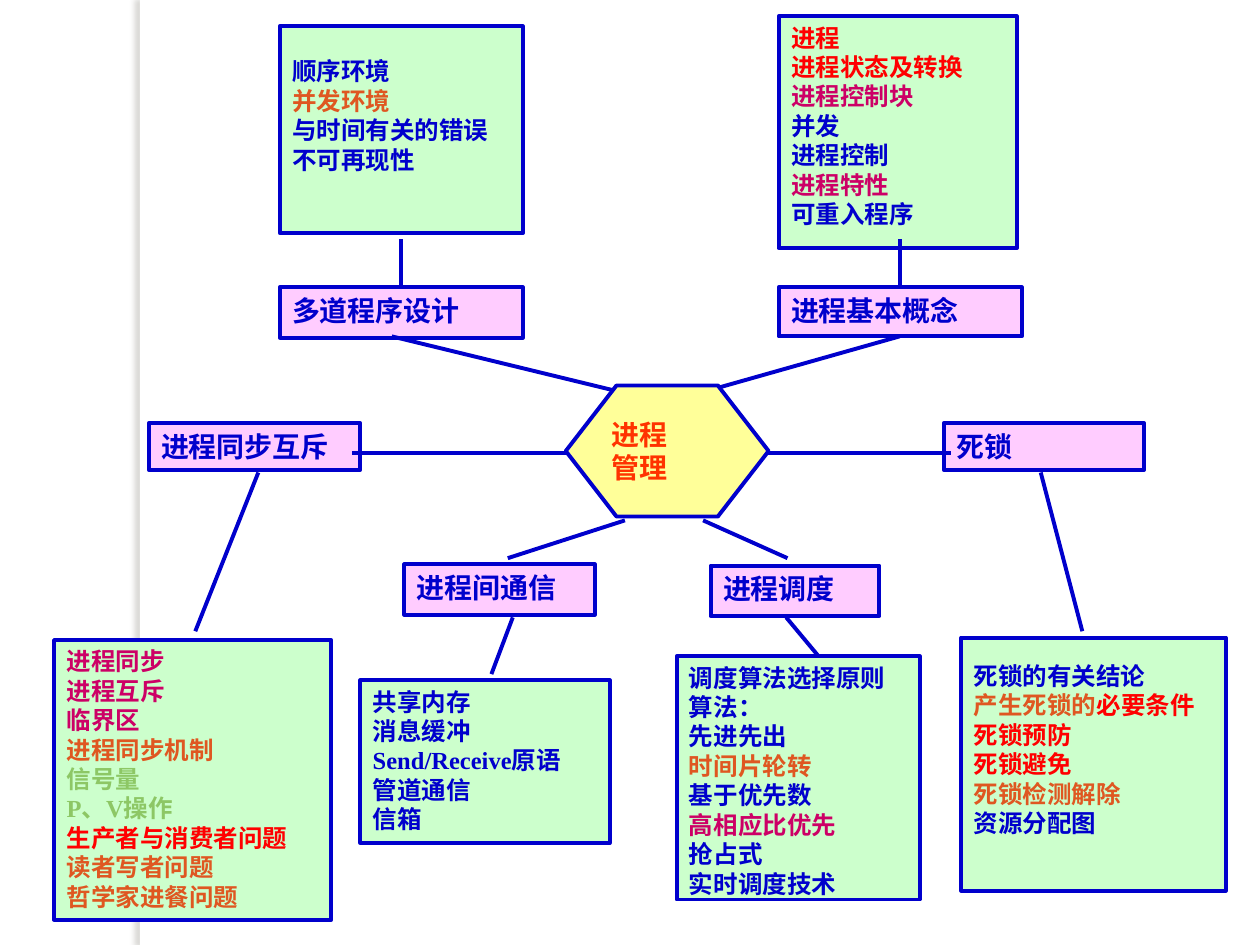
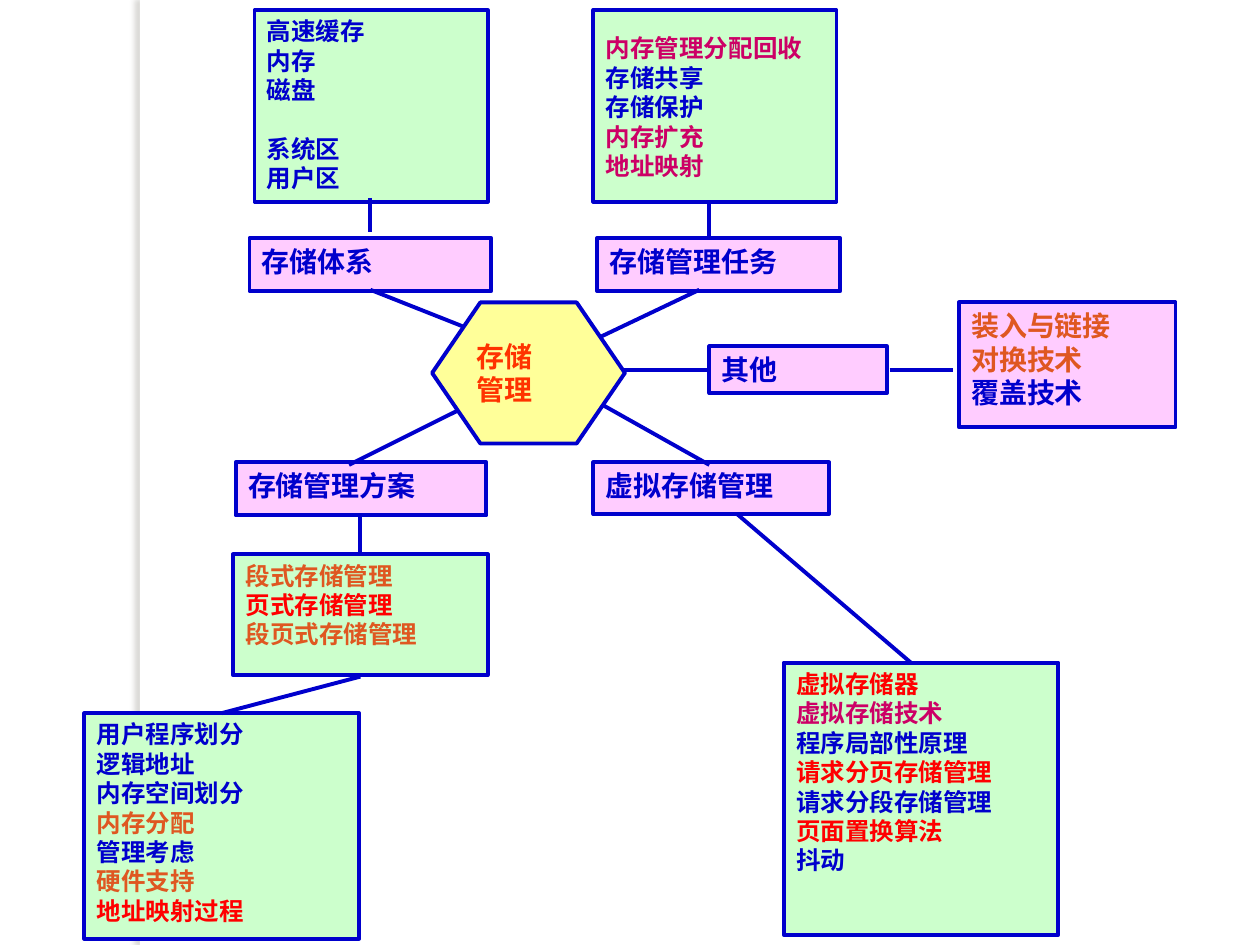
"""Build two mind maps: process management and storage management."""
import dataclasses
import enum
import typing

import pptx
import pptx.dml.color
import pptx.enum.shapes
import pptx.enum.text
import pptx.oxml
import pptx.oxml.ns
import pptx.util

COLUMNS, ROWS = 100, 75
Shape = pptx.enum.shapes.MSO_SHAPE
Anchor = pptx.enum.text.MSO_ANCHOR


class Ink(enum.Enum):
    """Text colours by emphasis."""

    BLUE = "0000CC"
    RED = "FF0000"
    ROSE = "CC0066"
    ORANGE = "DF5721"
    GREEN = "8DC765"
    HUB = "FF3300"


@dataclasses.dataclass(frozen=True)
class Theme:
    """Colours, fonts and sizes of the deck."""

    width: int = pptx.util.Inches(10)
    height: int = pptx.util.Inches(7.5)
    outline: str = "0000CC"
    stroke: float = 2.25
    note_fill: str = "CCFFCC"
    topic_fill: str = "FFCCFF"
    hub_fill: str = "FFFF99"
    band_fill: str = "FFFFFF"
    band_shadow: str = "736F63"
    serif: str = "Times New Roman"
    sans: str = "Arial"
    note_size: int = 14
    topic_size: int = 16


THEME = Theme()


class Span(typing.NamedTuple):
    """A piece of text in one colour."""

    ink: Ink
    text: str


class Line(typing.NamedTuple):
    """One paragraph and the space above it in points."""

    spans: tuple[Span, ...]
    before: float = 0


class Area(typing.NamedTuple):
    """A rectangle in grid columns and rows."""

    column: float
    row: float
    columns: float
    rows: float


class Link(typing.NamedTuple):
    """A straight line between two grid points."""

    start: tuple[float, float]
    end: tuple[float, float]


@dataclasses.dataclass(frozen=True)
class Box:
    """A filled, outlined shape with left-aligned text."""

    area: Area
    lines: list[Line]
    fill: str = THEME.note_fill
    size: int = THEME.note_size
    font: str = THEME.serif
    kind: Shape = Shape.RECTANGLE
    bend: float = 0
    anchor: Anchor = Anchor.TOP
    wrap: bool = True
    pad_top: float = 0.5
    pad_bottom: float = 0.5


@dataclasses.dataclass(frozen=True)
class MindMap:
    """A hub, its boxes and the links between them."""

    hub: Box
    boxes: list[Box]
    links: list[Link]


def lines(ink: Ink, *texts: str, before: float = 0) -> list[Line]:
    """Make one line per text, all in one colour."""
    return [Line((Span(ink, text),), before) for text in texts]


def topic(area: Area, text: str) -> Box:
    """Make a branch heading."""
    return Box(area, lines(Ink.BLUE, text), THEME.topic_fill, THEME.topic_size)


def hub(area: Area, bend: float, *texts: str) -> Box:
    """Make the central hexagon."""
    return Box(area, lines(Ink.HUB, *texts), THEME.hub_fill, THEME.topic_size,
               THEME.sans, Shape.HEXAGON, bend, Anchor.MIDDLE, False)


def across(columns: float) -> int:
    """Convert grid columns to a length."""
    return round(THEME.width * columns / COLUMNS)


def down(rows: float) -> int:
    """Convert grid rows to a length."""
    return round(THEME.height * rows / ROWS)


def colour(code: str) -> pptx.dml.color.RGBColor:
    """Convert a hexadecimal code to a colour."""
    return pptx.dml.color.RGBColor.from_string(code)


def add_panel(page, kind: Shape, area: Area, fill: str):
    """Add a filled shape without a shadow."""
    panel = page.shapes.add_shape(kind, across(area.column), down(area.row),
                                  across(area.columns), down(area.rows))
    panel.shadow.inherit = False
    panel.fill.solid()
    panel.fill.fore_color.rgb = colour(fill)
    return panel


def draw_band(page) -> None:
    """Draw the white band with a soft shadow on its left."""
    band = add_panel(page, Shape.RECTANGLE, Area(11.1, 0, 0.8, ROWS), THEME.band_fill)
    band.line.fill.background()
    effects = band._element.spPr.find(pptx.oxml.ns.qn("a:effectLst"))
    effects.append(pptx.oxml.parse_xml(
        f'<a:outerShdw {pptx.oxml.ns.nsdecls("a")} blurRad="38100" dist="38100" '
        f'dir="10800000" algn="r" rotWithShape="0"><a:srgbClr val="{THEME.band_shadow}">'
        '<a:alpha val="25000"/></a:srgbClr></a:outerShdw>'))


def draw_box(page, box: Box) -> None:
    """Draw a box and its text."""
    shape = add_panel(page, box.kind, box.area, box.fill)
    shape.line.color.rgb = colour(THEME.outline)
    shape.line.width = pptx.util.Pt(THEME.stroke)
    if box.bend:
        shape.adjustments[0] = box.bend
    frame = shape.text_frame
    frame.word_wrap = box.wrap
    frame.vertical_anchor = box.anchor
    frame.margin_top, frame.margin_bottom = down(box.pad_top), down(box.pad_bottom)
    for index, line in enumerate(box.lines):
        para = frame.add_paragraph() if index else frame.paragraphs[0]
        para.alignment = pptx.enum.text.PP_ALIGN.LEFT
        para.space_before = pptx.util.Pt(line.before)
        para.font.name, para.font.bold = box.font, True
        para.font.size = pptx.util.Pt(box.size)
        for span in line.spans:
            run = para.add_run()
            run.text = span.text
            run.font.color.rgb = colour(span.ink.value)


def draw_link(page, link: Link) -> None:
    """Draw a straight connector."""
    (left, top), (right, bottom) = link
    connector = page.shapes.add_connector(
        pptx.enum.shapes.MSO_CONNECTOR.STRAIGHT,
        across(left), down(top), across(right), down(bottom))
    connector.line.color.rgb = colour(THEME.outline)
    connector.line.width = pptx.util.Pt(THEME.stroke)
    connector._element.spPr.append(
        pptx.oxml.parse_xml(f'<a:effectLst {pptx.oxml.ns.nsdecls("a")}/>'))


def draw_map(deck, mind_map: MindMap) -> None:
    """Add a page with one mind map."""
    page = deck.slides.add_slide(deck.slide_layouts[6])
    draw_band(page)
    for box in mind_map.boxes:
        draw_box(page, box)
    for link in mind_map.links:
        draw_link(page, link)
    draw_box(page, mind_map.hub)


PROCESSES = MindMap(
    hub(Area(44.9, 30.6, 16.1, 10.4), 0.387, "进程", "管理"),
    [
        Box(Area(61.8, 1.3, 18.9, 18.4),
            lines(Ink.RED, "进程", "进程状态及转换") + lines(Ink.ROSE, "进程控制块")
            + lines(Ink.BLUE, "并发", "进程控制") + lines(Ink.ROSE, "进程特性")
            + lines(Ink.BLUE, "可重入程序")),
        Box(Area(28.6, 54, 19.8, 12.9),
            lines(Ink.BLUE, "共享内存", "消息缓冲", "Send/Receive原语", "管道通信", "信箱")),
        Box(Area(53.7, 52.1, 19.3, 19.3),
            lines(Ink.BLUE, "调度算法选择原则", "算法：", "先进先出")
            + lines(Ink.ORANGE, "时间片轮转") + lines(Ink.BLUE, "基于优先数")
            + lines(Ink.ROSE, "高相应比优先") + lines(Ink.BLUE, "抢占式", "实时调度技术")),
        Box(Area(4.3, 50.8, 22, 22.2),
            lines(Ink.ROSE, "进程同步", "进程互斥", "临界区")
            + lines(Ink.ORANGE, "进程同步机制") + lines(Ink.GREEN, "信号量", "P、V操作")
            + lines(Ink.RED, "生产者与消费者问题")
            + lines(Ink.ORANGE, "读者写者问题", "哲学家进餐问题")),
        Box(Area(76.3, 50.6, 21, 20.1),
            lines(Ink.BLUE, "死锁的有关结论")
            + [Line((Span(Ink.ORANGE, "产生死锁的"), Span(Ink.RED, "必要条件")))]
            + lines(Ink.RED, "死锁预防", "死锁避免")
            + lines(Ink.ORANGE, "死锁检测解除") + lines(Ink.BLUE, "资源分配图"),
            pad_top=1.85),
        Box(Area(22.2, 2.1, 19.3, 16.4),
            lines(Ink.BLUE, "顺序环境") + lines(Ink.ORANGE, "并发环境")
            + lines(Ink.BLUE, "与时间有关的错误", "不可再现性"),
            font=THEME.sans, anchor=Anchor.MIDDLE, wrap=False, pad_bottom=2.8),
        topic(Area(22.2, 22.8, 19.3, 4), "多道程序设计"),
        topic(Area(61.8, 22.8, 19.3, 3.9), "进程基本概念"),
        topic(Area(11.8, 33.6, 16.8, 3.7), "进程同步互斥"),
        topic(Area(32.1, 44.8, 15.1, 4), "进程间通信"),
        topic(Area(56.4, 44.9, 13.4, 4), "进程调度"),
        topic(Area(74.9, 33.6, 15.9, 3.7), "死锁"),
    ],
    [
        Link((31.1, 26.7), (49.6, 31.2)), Link((71.4, 26.7), (55.5, 31.2)),
        Link((40.3, 44.3), (49.6, 41.3)), Link((62.5, 44.3), (55.8, 41.3)),
        Link((46.2, 35.95), (27.9, 35.95)), Link((58.7, 35.95), (75.5, 35.95)),
        Link((31.8, 19), (31.8, 22.7)), Link((71.4, 19), (71.4, 22.7)),
        Link((62.4, 49), (64.9, 52)), Link((20.5, 37.5), (15.5, 50.1)),
        Link((40.7, 49), (39, 53.5)), Link((82.6, 37.5), (85.9, 50.1)),
    ],
)

STORAGE = MindMap(
    hub(Area(34.3, 24, 15.3, 11.2), 0.342, "存储", "管理"),
    [
        Box(Area(18.5, 44, 20.2, 9.6),
            lines(Ink.ORANGE, "段式存储管理") + lines(Ink.RED, "页式存储管理")
            + lines(Ink.ORANGE, "段页式存储管理")),
        Box(Area(62.2, 52.6, 21.8, 21.6),
            lines(Ink.RED, "虚拟存储器") + lines(Ink.ROSE, "虚拟存储技术")
            + lines(Ink.BLUE, "程序局部性原理") + lines(Ink.RED, "请求分页存储管理")
            + lines(Ink.BLUE, "请求分段存储管理") + lines(Ink.RED, "页面置换算法")
            + lines(Ink.BLUE, "抖动")),
        Box(Area(6.7, 56.6, 21.8, 17.9),
            lines(Ink.BLUE, "用户程序划分", "逻辑地址", "内存空间划分")
            + lines(Ink.ORANGE, "内存分配") + lines(Ink.BLUE, "管理考虑")
            + lines(Ink.ORANGE, "硬件支持") + lines(Ink.RED, "地址映射过程")),
        Box(Area(76.1, 24, 17.2, 9.9),
            lines(Ink.ORANGE, "装入与链接", "对换技术") + lines(Ink.BLUE, "覆盖技术"),
            THEME.topic_fill, THEME.topic_size),
        Box(Area(20.2, 0.8, 18.5, 15.2),
            lines(Ink.BLUE, "高速缓存", "内存", "磁盘")
            + lines(Ink.BLUE, "系统区", before=16.8) + lines(Ink.BLUE, "用户区")),
        Box(Area(47.1, 0.8, 19.3, 15.2),
            lines(Ink.ROSE, "内存管理分配回收") + lines(Ink.BLUE, "存储共享", "存储保护")
            + lines(Ink.ROSE, "内存扩充", "地址映射"), pad_top=1.85),
        topic(Area(19.8, 18.9, 19.2, 4.2), "存储体系"),
        topic(Area(47.4, 18.9, 19.3, 4.2), "存储管理任务"),
        topic(Area(18.7, 36.7, 19.9, 4.2), "存储管理方案"),
        topic(Area(47.1, 36.7, 18.7, 4.1), "虚拟存储管理"),
        topic(Area(56.3, 27.5, 14.1, 3.7), "其他"),
    ],
    [
        Link((58.5, 40.8), (72.3, 52.6)), Link((28.6, 40.9), (28.6, 44.1)),
        Link((17.6, 56.6), (28.6, 53.7)), Link((29.4, 23), (39.5, 27)),
        Link((55.5, 23), (47.1, 27)), Link((27.7, 36.9), (39.5, 31)),
        Link((56.3, 36.9), (47.4, 31.9)), Link((48.7, 29.4), (56.3, 29.4)),
        Link((29.4, 15.7), (29.4, 18.4)), Link((56.3, 15.9), (56.3, 18.9)),
        Link((70.6, 29.4), (75.6, 29.4)),
    ],
)


def main() -> None:
    """Build and save the deck."""
    deck = pptx.Presentation()
    deck.slide_width, deck.slide_height = THEME.width, THEME.height
    for mind_map in (PROCESSES, STORAGE):
        draw_map(deck, mind_map)
    deck.save("out.pptx")


if __name__ == "__main__":
    main()
